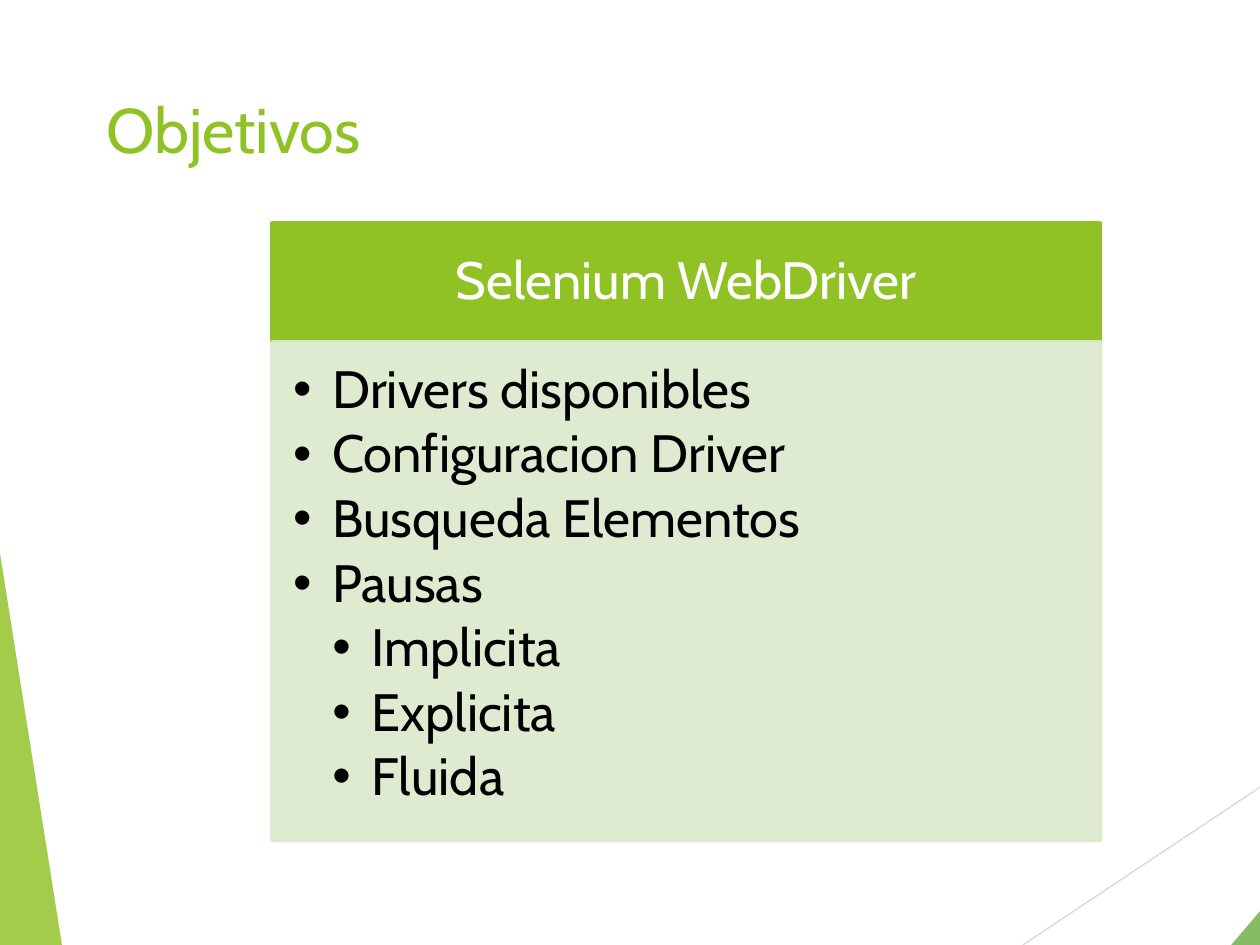
from lxml import etree
from pptx import Presentation
from pptx import util as u
from pptx.dml.color import RGBColor
from pptx.enum import shapes, text
from pptx.oxml.ns import qn

COLORS = {"green": "90C226", "dark": "54A021", "pale": "DBE9CD",
          "line": "D8D8D8", "white": "FFFFFF", "black": "000000"}
FONT = "Cabin"
W, H = 25.4, 19.05
TOPICS = [("Drivers disponibles", 1), ("Configuracion Driver", 1),
          ("Busqueda Elementos", 1), ("Pausas", 1),
          ("Implicita", 2), ("Explicita", 2), ("Fluida", 2)]


def rgb(name):
    return RGBColor.from_string(COLORS[name])


def set_all(obj, values):
    for name, value in values.items():
        setattr(obj, name, value)


def set_alpha(color_format, percent):
    """Make a solid fill or line partly transparent."""
    clr = color_format._xPr.find(qn("a:solidFill"))[0]
    etree.SubElement(clr, qn("a:alpha")).set("val", str(percent * 1000))


def add_block(s, kind, box, fill, alpha=100, outlined=False):
    sp = s.shapes.add_shape(kind, *map(u.Cm, box))
    sp.shadow.inherit = False
    sp.fill.solid()
    sp.fill.fore_color.rgb = rgb(fill)
    if outlined:
        sp.line.width = u.Pt(2)
        sp.line.color.rgb = rgb(fill)
    else:
        sp.line.fill.background()
    if alpha < 100:
        set_alpha(sp.fill, alpha)
        if outlined:
            set_alpha(sp.line.fill, alpha)
    return sp


def set_frame(tf, anchor, left, top, right, bottom):
    set_all(tf, {"word_wrap": True, "vertical_anchor": anchor,
                 "margin_left": u.Cm(left), "margin_top": u.Cm(top),
                 "margin_right": u.Cm(right), "margin_bottom": u.Cm(bottom)})


def write(p, words, size, color, **layout):
    r = p.add_run()
    r.text = words
    set_all(r.font, {"name": FONT, "size": u.Pt(size)})
    r.font.color.rgb = rgb(color)
    set_all(p, layout)


def add_bullet(p, level, step):
    pPr = p._p.get_or_add_pPr()
    pPr.set("marL", str(u.Cm(step * level)))
    pPr.set("indent", str(-u.Cm(step)))
    etree.SubElement(pPr, qn("a:buFont")).set("typeface", "Arial")
    etree.SubElement(pPr, qn("a:buChar")).set("char", "•")


def decoration(s, x, y, w, h):
    """Corner wedges and a thin diagonal, bleeding over the right edge."""
    right, bottom = x + w, y + h
    bleed = right + 8.46
    ln = s.shapes.add_connector(shapes.MSO_CONNECTOR.STRAIGHT, u.Cm(bleed), u.Cm(bottom - 8.81),
                                u.Cm(right - 4.78), u.Cm(bottom))
    ln.line.width = u.Pt(0.75)
    ln.line.color.rgb = rgb("line")
    etree.SubElement(ln._element.spPr, qn("a:effectLst"))
    wedges = [((bleed - 9.04, bottom - 10.59, 9.04, 10.59), "dark", 70, 1),
              ((x, bottom - 7.9, 1.25, 7.9), "green", 83, 0)]
    for box, fill, alpha, apex in wedges:
        sp = add_block(s, shapes.MSO_SHAPE.ISOSCELES_TRIANGLE, box, fill, alpha)
        sp.adjustments[0] = apex


def title(s, x, y, w, h):
    tf = s.shapes.add_textbox(*map(u.Cm, (x, y, w, h))).text_frame
    set_frame(tf, text.MSO_ANCHOR.TOP, 0.25, 0.13, 0.25, 0.13)
    write(tf.paragraphs[0], "Objetivos", 36, "green")


def topic_card(s, x, y, w, h, head_h=2.4):
    """Heading bar with a bulleted list below it."""
    rect = shapes.MSO_SHAPE.RECTANGLE
    tf = add_block(s, rect, (x, y, w, head_h), "green", outlined=True).text_frame
    set_frame(tf, text.MSO_ANCHOR.MIDDLE, 0.58, 0.33, 0.58, 0.33)
    write(tf.paragraphs[0], "Selenium WebDriver", 30, "white",
          alignment=text.PP_ALIGN.CENTER, line_spacing=0.9)

    tf = add_block(s, rect, (x, y + head_h, w, h - head_h), "pale", 90, True).text_frame
    set_frame(tf, text.MSO_ANCHOR.TOP, 0.43, 0.43, 0.58, 0.66)
    for i, (words, level) in enumerate(TOPICS):
        p = tf.add_paragraph() if i else tf.paragraphs[0]
        write(p, words, 30, "black", alignment=text.PP_ALIGN.LEFT, level=level,
              line_spacing=0.9, space_after=u.Pt(4.5))
        add_bullet(p, level, 0.79)


def main():
    prs = Presentation()
    set_all(prs, {"slide_width": u.Cm(W), "slide_height": u.Cm(H)})
    s = prs.slides.add_slide(prs.slide_layouts[6])
    decoration(s, 0, 0, W, H)
    title(s, 1.89, 1.7, 23.5, 3.66)
    topic_card(s, 5.48, 4.49, 16.71, 12.46)
    prs.save("out.pptx")


if __name__ == "__main__":
    main()
